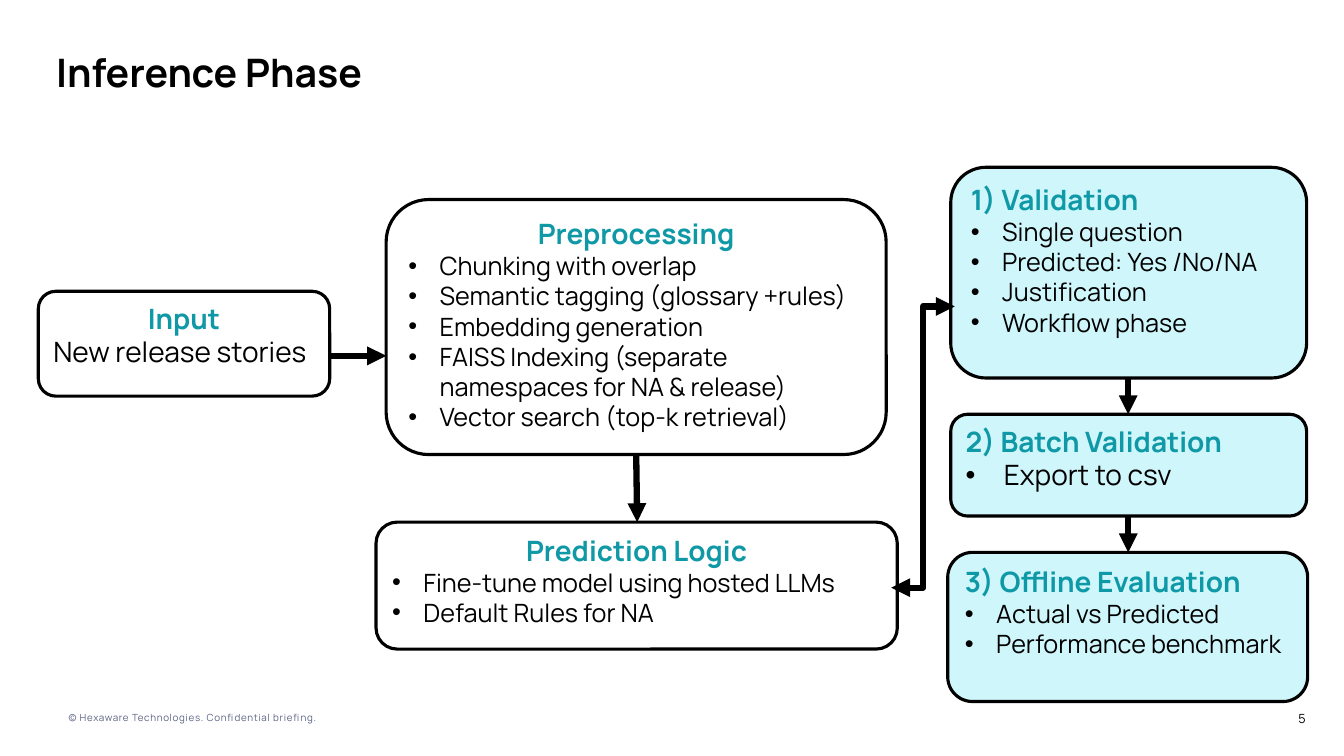
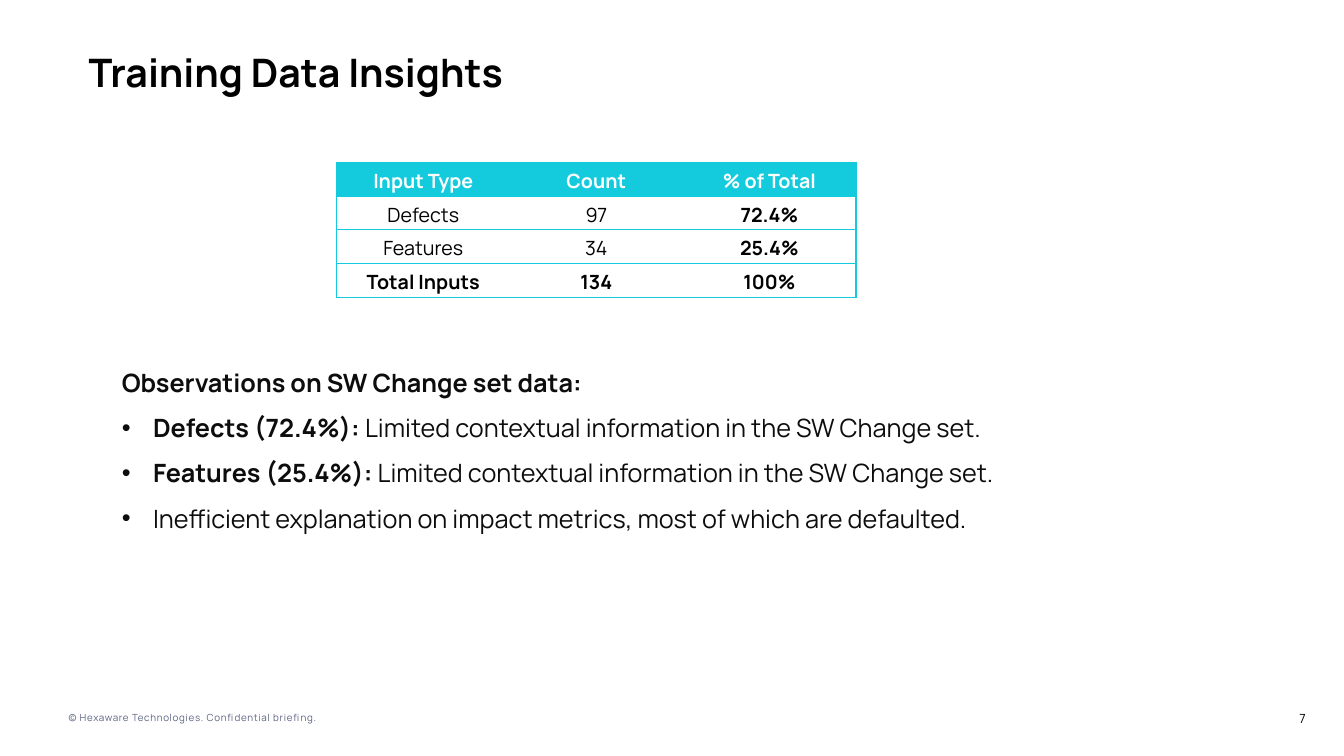
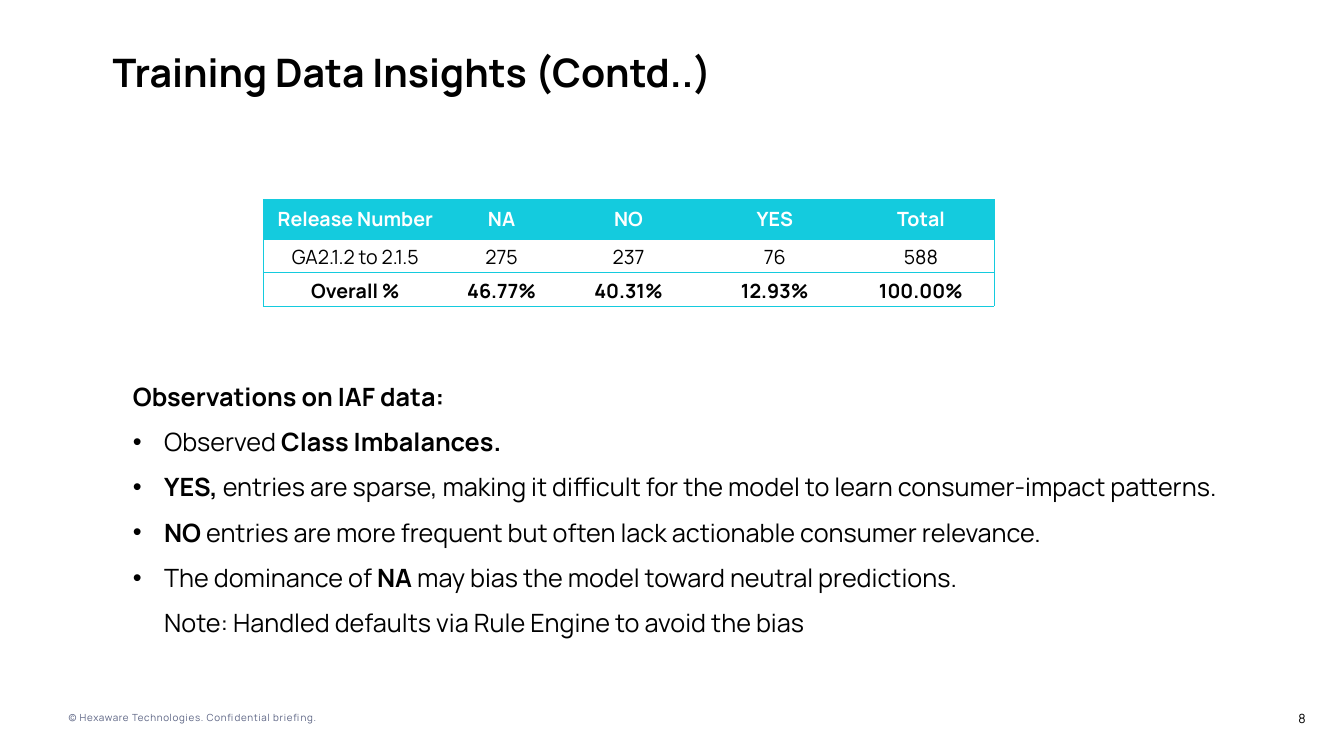
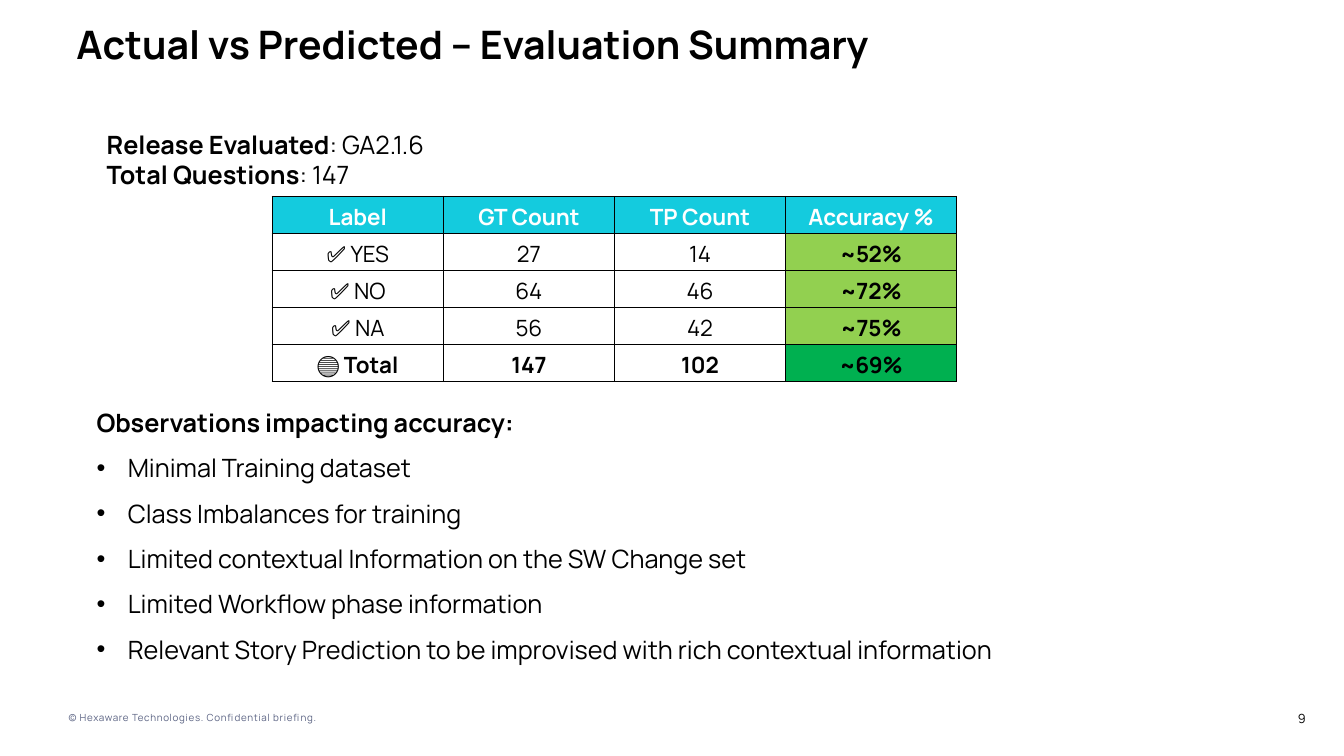
from lxml.etree import SubElement as Sub
from pptx import Presentation
from pptx.dml.color import RGBColor
from pptx.enum.shapes import MSO_CONNECTOR as Link, MSO_SHAPE as Shape
from pptx.enum.text import MSO_ANCHOR as Anchor, PP_ALIGN as Align
from pptx.oxml.ns import qn
from pptx.util import Inches, Pt

FONT = "Manrope"
BLACK, WHITE, INK = "000000", "FFFFFF", "0D0D0D"
TEAL, CYAN, PALE, GREY = "0F98A6", "14CBDE", "CEF6FB", "5B6383"
LIME, GREEN = "92D050", "00B050"
HANG = 0.31


def rgb(code):
    """Turn a hex string into a colour."""
    return RGBColor.from_string(code)


def paint(thing, code):
    """Fill a shape or cell with one colour."""
    thing.fill.solid()
    thing.fill.fore_color.rgb = rgb(code)


def write(frame, text, size=18, color=BLACK, bold=False, hang=0,
          align=Align.LEFT, lead=None):
    """Add a paragraph; parts between asterisks are bold."""
    para = frame.paragraphs[0]
    if para.runs:
        para = frame.add_paragraph()
    para.alignment = align
    if hang:
        props = para._p.get_or_add_pPr()
        props.set("marL", str(Inches(hang)))
        props.set("indent", str(-Inches(hang)))
        Sub(props, qn("a:buFont"), typeface="Arial")
        Sub(props, qn("a:buChar"), char="•")
    if lead:
        para.line_spacing = lead
    font = para.font
    font.name, font.size, font.bold = FONT, Pt(size), bold
    font.color.rgb = rgb(color)
    for row, line in enumerate(text.split("\n")):
        if row:
            para.add_line_break()
        for part, words in enumerate(line.split("*")):
            if words:
                run = para.add_run()
                run.text = words
                if part % 2:
                    run.font.bold = True
    return para


def area(slide, box, inset=True):
    """Add a wrapping text box and return its frame."""
    frame = slide.shapes.add_textbox(*map(Inches, box)).text_frame
    frame.word_wrap = True
    if not inset:
        frame.margin_left = frame.margin_right = 0
        frame.margin_top = frame.margin_bottom = 0
    return frame


def panel(slide, kind, box, fill, line=None):
    """Add a filled shape and return its frame."""
    shape = slide.shapes.add_shape(kind, *map(Inches, box))
    shape.shadow.inherit = False
    paint(shape, fill)
    if line:
        shape.line.color.rgb = rgb(line)
        shape.line.width = Pt(2.25)
    else:
        shape.line.fill.background()
    frame = shape.text_frame
    frame.word_wrap = True
    frame.vertical_anchor = Anchor.TOP
    return frame


def start(deck, title, left, page, lead=1.5):
    """Add a slide with its title, footer and number."""
    slide = deck.slides.add_slide(deck.slide_layouts[6])
    frame = panel(slide, Shape.RECTANGLE, (left, 0.2, 10.27, 0.81), WHITE)
    write(frame, title, 28, bold=True, lead=lead)
    foot = write(area(slide, (0.68, 7.06, 3.04, 0.12), False),
                 "© Hexaware Technologies. Confidential briefing.", 7, GREY)
    foot.runs[0].font._element.set("spc", "50")
    write(area(slide, (12.65, 7.05, 0.3, 0.15), False), str(page), 9,
          align=Align.RIGHT)
    return slide


def card(slide, box, head, items, fill=WHITE, align=Align.CENTER, size=18, hang=HANG):
    """Add a rounded box with a heading and its items."""
    frame = panel(slide, Shape.ROUNDED_RECTANGLE, box, fill, BLACK)
    write(frame, head, 20, TEAL, True, align=align)
    for item in items:
        write(frame, item, size, hang=hang)


def arrow(slide, ends, kind=Link.STRAIGHT, both=False):
    """Add a thick arrow, with a second head if asked."""
    link = slide.shapes.add_connector(kind, *map(Inches, ends))
    link.line.color.rgb = rgb(BLACK)
    link.line.width = Pt(4.5)
    line = link.line._get_or_add_ln()
    if both:
        Sub(line, qn("a:headEnd"), type="triangle")
    Sub(line, qn("a:tailEnd"), type="triangle")
    Sub(link._element.spPr, qn("a:effectLst"))


def edge(cell, sides, color, width):
    """Draw the named sides of a cell and clear the others."""
    props = cell._tc.get_or_add_tcPr()
    for spot, side in enumerate("LRTB"):
        line = props.makeelement(qn(f"a:ln{side}"), w=str(Pt(width)))
        if side in sides:
            Sub(Sub(line, qn("a:solidFill")), qn("a:srgbClr"), val=color)
        else:
            Sub(line, qn("a:noFill"))
        props.insert(spot, line)


def grid(slide, spot, wide, high, data, marks=(), size=14, rule=CYAN,
         width=1, full=False):
    """Add a table; marks fill the last column and make it bold."""
    rows, cols = len(data), len(wide)
    table = slide.shapes.add_table(
        rows, cols, *map(Inches, (*spot, sum(wide), sum(high)))).table
    table.horz_banding = False
    for col, value in zip(table.columns, wide):
        col.width = Inches(value)
    for row, value in zip(table.rows, high):
        row.height = Inches(value)
    for r, line in enumerate(data):
        for c, text in enumerate(line):
            cell = table.cell(r, c)
            last = c == cols - 1
            mark = marks and last and r
            cell.vertical_anchor = Anchor.MIDDLE
            paint(cell, marks[r - 1] if mark else WHITE if r else CYAN)
            write(cell.text_frame, text, size, BLACK if r else WHITE,
                  bool(mark) or r in (0, rows - 1), align=Align.CENTER)
            sides = "TB" + "L" * (full or c == 0) + "R" * (full or last)
            edge(cell, sides, rule, width)


def notes(slide, box, head, items, color=BLACK, lead=1.5):
    """Add a bold heading over spaced bullets."""
    frame = area(slide, box)
    write(frame, head, color=color, bold=True, lead=lead)
    for item in items:
        write(frame, item, color=color, hang=HANG, lead=1.5)


def phase(deck):
    """Build the inference flow."""
    slide = start(deck, "Inference Phase", 0.46, 5)
    card(slide, (0.38, 2.89, 2.89, 1.04), "Input", ["New release stories"],
         size=20, hang=0)
    card(slide, (3.83, 1.98, 4.96, 2.53), "Preprocessing", [
        "Chunking with overlap",
        "Semantic tagging (glossary +rules)",
        "Embedding generation",
        "FAISS Indexing (separate namespaces for NA & release)",
        "Vector search (top-k retrieval)"])
    card(slide, (3.73, 5.18, 5.17, 1.26), "Prediction Logic", [
        "Fine-tune model using hosted LLMs",
        "Default Rules for NA"])
    side = {"fill": PALE, "align": Align.LEFT}
    card(slide, (9.43, 1.66, 3.53, 2.09), "1) Validation", [
        "Single question", "Predicted: Yes /No/NA",
        "Justification", "Workflow phase"], **side)
    card(slide, (9.43, 4.11, 3.53, 1.01), "2) Batch Validation",
         ["Export to csv"], size=20, hang=0.38, **side)
    card(slide, (9.4, 5.48, 3.57, 1.48), "3) Offline Evaluation",
         ["Actual vs Predicted", "Performance benchmark"], **side)
    for ends in ((3.26, 3.53, 3.83, 3.53), (6.31, 4.51, 6.32, 5.18),
                 (11.19, 3.75, 11.19, 4.11), (11.19, 5.12, 11.19, 5.48)):
        arrow(slide, ends)
    arrow(slide, (9.47, 3.04, 8.84, 5.83), Link.ELBOW, True)


def inputs(deck):
    """Build the input type insights."""
    slide = start(deck, "Training Data Insights", 0.78, 7)
    grid(slide, (3.34, 1.61), [5.15 / 3] * 3, [1.34 / 4] * 4, [
        ("Input Type", "Count", "% of Total"),
        ("Defects", "97", "72.4%"),
        ("Features", "34", "25.4%"),
        ("Total Inputs", "134", "100%")], [WHITE] * 3)
    notes(slide, (1.11, 3.44, 10.05, 1.9), "Observations on SW Change set data:", [
        "*Defects (72.4%): *Limited contextual information in the SW Change set.",
        "*Features (25.4%): *Limited contextual information in the SW Change set.",
        "Inefficient explanation on impact metrics, most of which are defaulted."],
        INK)


def labels(deck):
    """Build the label insights."""
    slide = start(deck, "Training Data Insights (Contd..)", 1.02, 8)
    grid(slide, (2.61, 1.98), [1.83, 1.07] + [1.45] * 3, [0.39, 0.33, 0.33], [
        ("Release Number", "NA", "NO", "YES", "Total"),
        ("GA2.1.2 to 2.1.5", "275", "237", "76", "588"),
        ("Overall %", "46.77%", "40.31%", "12.93%", "100.00%")], width=0.5)
    notes(slide, (1.22, 3.58, 11.03, 2.9), "Observations on IAF data:", [
        "Observed* Class Imbalances.*",
        "*YES,* entries are sparse, making it difficult for the model to learn "
        "consumer-impact patterns.",
        "*NO* entries are more frequent but often lack actionable consumer relevance.",
        "The dominance of *NA* may bias the model toward neutral predictions.\n"
        "Note: Handled defaults via Rule Engine to avoid the bias"])


def score(deck):
    """Build the evaluation summary."""
    slide = start(deck, "Actual vs Predicted – Evaluation Summary", 0.66, 9, 0.9)
    frame = area(slide, (0.96, 1.23, 8.83, 0.7))
    write(frame, "*Release Evaluated*: GA2.1.6")
    write(frame, "*Total Questions*: 147")
    grid(slide, (2.7, 1.95), [6.79 / 4] * 4, [0.36] * 5, [
        ("Label", "GT Count", "TP Count", "Accuracy %"),
        ("✅ YES", "27", "14", "~52%"),
        ("✅ NO", "64", "46", "~72%"),
        ("✅ NA", "56", "42", "~75%"),
        ("🔵 Total", "147", "102", "~69%")],
        [LIME] * 3 + [GREEN], 16, BLACK, full=True)
    notes(slide, (0.86, 3.99, 12.03, 2.7), "Observations impacting accuracy:", [
        "Minimal Training dataset",
        "Class Imbalances for training",
        "Limited contextual Information on the SW Change set",
        "Limited Workflow phase information",
        "Relevant Story Prediction to be improvised with rich contextual information"],
        lead=1)


def main():
    """Build and save the deck."""
    deck = Presentation()
    deck.slide_width, deck.slide_height = Inches(13.33), Inches(7.5)
    for build in (phase, inputs, labels, score):
        build(deck)
    deck.save("out.pptx")


if __name__ == "__main__":
    main()
